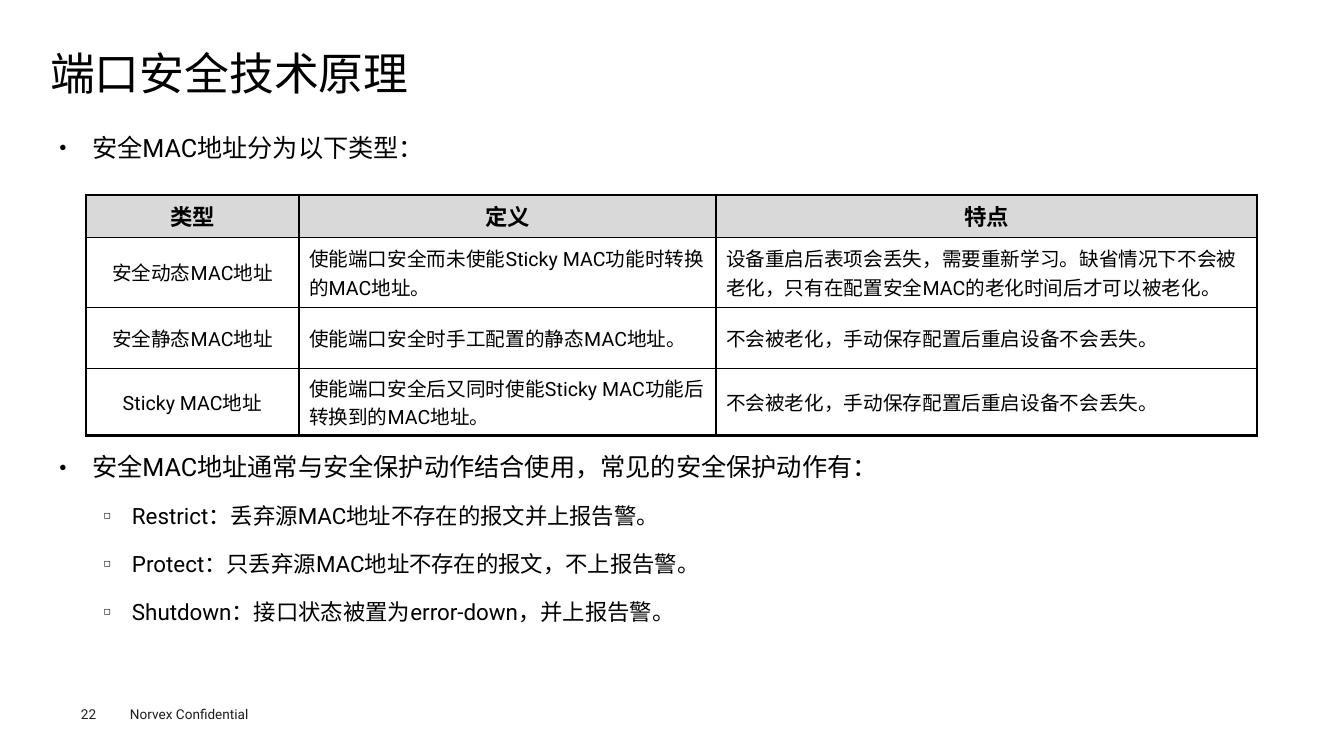
from lxml.etree import SubElement
from pptx import Presentation
from pptx.dml.color import RGBColor
from pptx.enum.text import MSO_ANCHOR, MSO_AUTO_SIZE, PP_ALIGN
from pptx.oxml.ns import qn
from pptx.util import Pt

PX = 914400 / 100.8
COLORS = {"text": "000000", "footer": "1D1D1B", "header": "D9D9D9", "border": "000000"}


def px(length):
    return round(length * PX)


def format_runs(paragraph, size, color="text", bold=False):
    for run in paragraph.runs:
        run.font.name = "Roboto"
        run.font.size = Pt(size)
        run.font.bold = bold
        run.font.color.rgb = RGBColor.from_string(COLORS[color])


presentation = Presentation()
presentation.slide_width, presentation.slide_height = px(1344), px(756)
slide = presentation.slides.add_slide(presentation.slide_layouts[1])

# Title
title = slide.shapes.title
title.left, title.top, title.width, title.height = px(50), px(49), px(1245), px(54)
frame = title.text_frame
frame.text = "端口安全技术原理"
frame.margin_left = frame.margin_right = frame.margin_top = frame.margin_bottom = 0
frame.vertical_anchor = MSO_ANCHOR.MIDDLE
frame.auto_size = MSO_AUTO_SIZE.NONE
frame.paragraphs[0].alignment = PP_ALIGN.LEFT
frame.paragraphs[0].line_spacing = 0.9
format_runs(frame.paragraphs[0], 32)

# Bullet list: level, space before, text; the second bullet clears the table
bullets = [
    (0, 0, "安全MAC地址分为以下类型："),
    (0, 198, "安全MAC地址通常与安全保护动作结合使用，常见的安全保护动作有："),
    (1, 7.2, "Restrict：丢弃源MAC地址不存在的报文并上报告警。"),
    (1, 7.2, "Protect：只丢弃源MAC地址不存在的报文，不上报告警。"),
    (1, 7.2, "Shutdown：接口状态被置为error-down，并上报告警。"),
]
# Per level: text indent, hanging indent, bullet, size, alignment
levels = [(33, 33, "●", 18, PP_ALIGN.JUSTIFY), (73, 28, "◻", 16, PP_ALIGN.LEFT)]
body = slide.placeholders[1]
body.left, body.top, body.width, body.height = px(50), px(116), px(1245), px(538)
frame = body.text_frame
frame.margin_left = frame.margin_right = px(9)
frame.margin_top = frame.margin_bottom = px(4)
frame.vertical_anchor = MSO_ANCHOR.TOP
frame.auto_size = MSO_AUTO_SIZE.NONE
for index, (level, space_before, text) in enumerate(bullets):
    paragraph = frame.add_paragraph() if index else frame.paragraphs[0]
    indent, hanging, bullet, size, alignment = levels[level]
    paragraph.text = text
    paragraph.level = level
    paragraph.alignment = alignment
    paragraph.line_spacing = 1.4
    paragraph.space_before = Pt(space_before)
    properties = paragraph._p.get_or_add_pPr()
    properties.set("marL", str(px(indent)))
    properties.set("indent", str(-px(hanging)))
    SubElement(properties, qn("a:buSzPct"), val="50000")
    SubElement(properties, qn("a:buChar"), char=bullet)
    format_runs(paragraph, size)

# Table of address types
rows = [
    ("类型", "定义", "特点"),
    ("安全动态MAC地址", "使能端口安全而未使能Sticky MAC功能时转换的MAC地址。",
     "设备重启后表项会丢失，需要重新学习。缺省情况下不会被老化，只有在配置安全MAC的老化时间后才可以被老化。"),
    ("安全静态MAC地址", "使能端口安全时手工配置的静态MAC地址。",
     "不会被老化，手动保存配置后重启设备不会丢失。"),
    ("Sticky MAC地址", "使能端口安全后又同时使能Sticky MAC功能后转换到的MAC地址。",
     "不会被老化，手动保存配置后重启设备不会丢失。"),
]
column_widths = [213, 417, 541]
row_heights = [40, 70, 61, 60]
table = slide.shapes.add_table(
    len(rows), len(column_widths), px(86), px(195),
    px(sum(column_widths)), px(sum(row_heights))).table
table.first_row = table.horz_banding = False
for column, width in zip(table.columns, column_widths):
    column.width = px(width)
for row, height in zip(table.rows, row_heights):
    row.height = px(height)

for row_index, texts in enumerate(rows):
    for column_index, text in enumerate(texts):
        cell = table.cell(row_index, column_index)
        is_header = row_index == 0
        cell.text = text
        cell.vertical_anchor = MSO_ANCHOR.MIDDLE
        paragraph = cell.text_frame.paragraphs[0]
        centred = is_header or column_index == 0
        paragraph.alignment = PP_ALIGN.CENTER if centred else PP_ALIGN.LEFT
        format_runs(paragraph, 16 if is_header else 14, bold=is_header)

        # Thick outer frame, thin inner lines
        outer_edges = {
            "a:lnL": column_index == 0,
            "a:lnR": column_index == len(column_widths) - 1,
            "a:lnT": is_header,
            "a:lnB": row_index == len(rows) - 1,
        }
        for tag, is_outer in outer_edges.items():
            line = SubElement(cell._tc.get_or_add_tcPr(), qn(tag), w=str(Pt(2.25 if is_outer else 1)))
            line_fill = SubElement(line, qn("a:solidFill"))
            SubElement(line_fill, qn("a:srgbClr"), val=COLORS["border"])

        if is_header:
            cell.fill.solid()
            cell.fill.fore_color.rgb = RGBColor.from_string(COLORS["header"])
        else:
            cell.fill.background()

# Page number and footer
for left, width, text in [(81, 45, "22"), (130, 150, "Norvex Confidential")]:
    frame = slide.shapes.add_textbox(px(left), px(706), px(width), px(16)).text_frame
    frame.text = text
    frame.word_wrap = True
    frame.margin_left = frame.margin_right = frame.margin_top = frame.margin_bottom = 0
    format_runs(frame.paragraphs[0], 9.7, "footer")

presentation.save("out.pptx")
